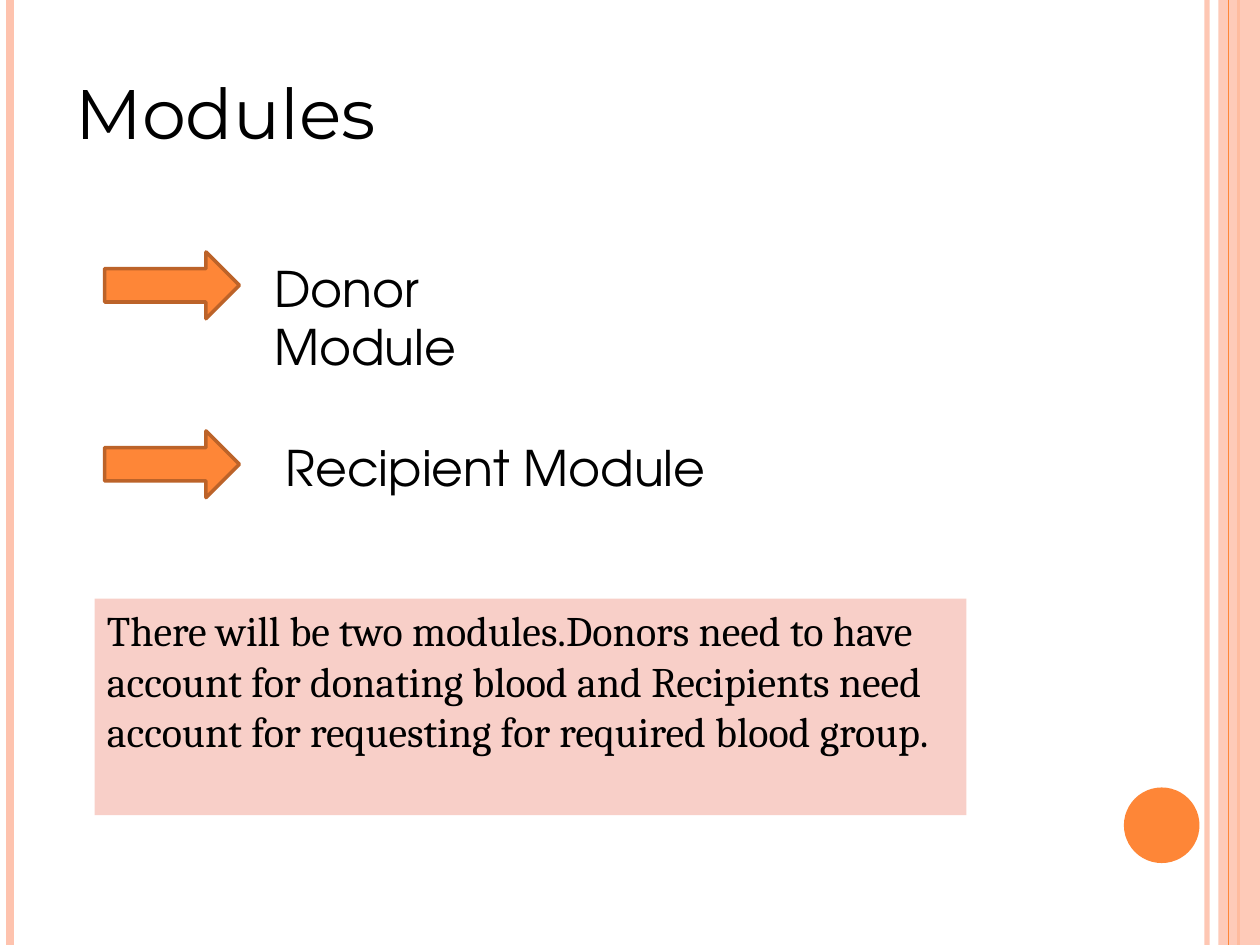
import pptx
import pptx.dml.color
import pptx.enum.shapes
import pptx.enum.text
import pptx.oxml
import pptx.oxml.ns
import pptx.util
from pptx.util import Inches

SHAPES = pptx.enum.shapes.MSO_SHAPE
ORANGE, DARK_ORANGE = "FE8637", "BC6329"
PEACH, PINK, BLACK = "FEC3AE", "F8CFC8", "000000"
SLIDE_WIDTH, SLIDE_HEIGHT = 10, 7.5


def set_color(fill, color, opacity=100):
    fill.solid()
    fill.fore_color.rgb = pptx.dml.color.RGBColor.from_string(color)
    if opacity < 100:
        # The fill of a line or shape is the last solidFill under its parent
        namespace = pptx.oxml.ns.nsdecls("a")
        alpha = pptx.oxml.parse_xml(f'<a:alpha {namespace} val="{opacity * 1000}"/>')
        fill._xPr.find(".//" + pptx.oxml.ns.qn("a:srgbClr")).append(alpha)


def add_stripe(slide, x, width, color, opacity=100):
    stripe = slide.shapes.add_connector(
        pptx.enum.shapes.MSO_CONNECTOR.STRAIGHT,
        Inches(x), 0, Inches(x), Inches(SLIDE_HEIGHT))
    stripe.line.width = pptx.util.Pt(width)
    set_color(stripe.line.fill, color, opacity)
    properties = stripe._element.spPr
    properties.append(pptx.oxml.parse_xml(
        f'<a:effectLst {pptx.oxml.ns.nsdecls("a")}/>'))


def add_filled_shape(slide, kind, box, color, opacity=100, outline=None):
    shape = slide.shapes.add_shape(kind, *map(Inches, box))
    shape.shadow.inherit = False
    set_color(shape.fill, color, opacity)
    if outline:
        set_color(shape.line.fill, outline)
        shape.line.width = pptx.util.Pt(2)
    else:
        shape.line.fill.background()
    return shape


def write_text(shape, text, size, font):
    frame = shape.text_frame
    frame.word_wrap = True
    frame.auto_size = pptx.enum.text.MSO_AUTO_SIZE.SHAPE_TO_FIT_TEXT
    frame.vertical_anchor = pptx.enum.text.MSO_ANCHOR.TOP
    paragraph = frame.paragraphs[0]
    paragraph.alignment = pptx.enum.text.PP_ALIGN.LEFT
    run = paragraph.add_run()
    run.text = text
    run.font.size = pptx.util.Pt(size)
    run.font.name = font
    set_color(run.font.fill, BLACK)


def add_text(slide, box, text, size, font):
    write_text(slide.shapes.add_textbox(*map(Inches, box)), text, size, font)


def add_module(slide, top, text_left, text_width, name):
    add_filled_shape(slide, SHAPES.RIGHT_ARROW, (0.83, top, 1.07, 0.53),
                     ORANGE, outline=DARK_ORANGE)
    add_text(slide, (text_left, top, text_width, 0.57), name, 28, "TeX Gyre Adventor")


def add_decoration(slide):
    add_stripe(slide, 9.58, 3, PEACH, 93)
    add_stripe(slide, 0.08, 4.5, PEACH)
    add_stripe(slide, 9.83, 1.5, ORANGE)
    add_filled_shape(slide, SHAPES.RECTANGLE, (9.67, 0, 0.33, SLIDE_HEIGHT), PEACH, 87)
    add_stripe(slide, 9.75, 0.75, ORANGE)
    add_filled_shape(slide, SHAPES.OVAL, (8.92, 6.25, 0.6, 0.6), ORANGE)


def main():
    presentation = pptx.Presentation()
    presentation.slide_width = Inches(SLIDE_WIDTH)
    presentation.slide_height = Inches(SLIDE_HEIGHT)
    slide = presentation.slides.add_slide(presentation.slide_layouts[6])

    # Side stripes and corner disc
    add_decoration(slide)

    # Title
    add_text(slide, (0.5, 0.5, 6.58, 0.77), "Modules", 40, "Montserrat")

    # Modules, each marked by an arrow
    add_module(slide, 2, 2.08, 2.83, "Donor Module")
    add_module(slide, 3.42, 2.17, 3.67, "Recipient Module")

    # Explanation
    panel = add_filled_shape(slide, SHAPES.RECTANGLE, (0.75, 4.75, 6.92, 1.72), PINK)
    write_text(panel, "There will be two modules.Donors need to have account for "
               "donating blood and Recipients need account for requesting for "
               "required blood group.", 24, "Cambria")

    presentation.save("out.pptx")


if __name__ == "__main__":
    main()
